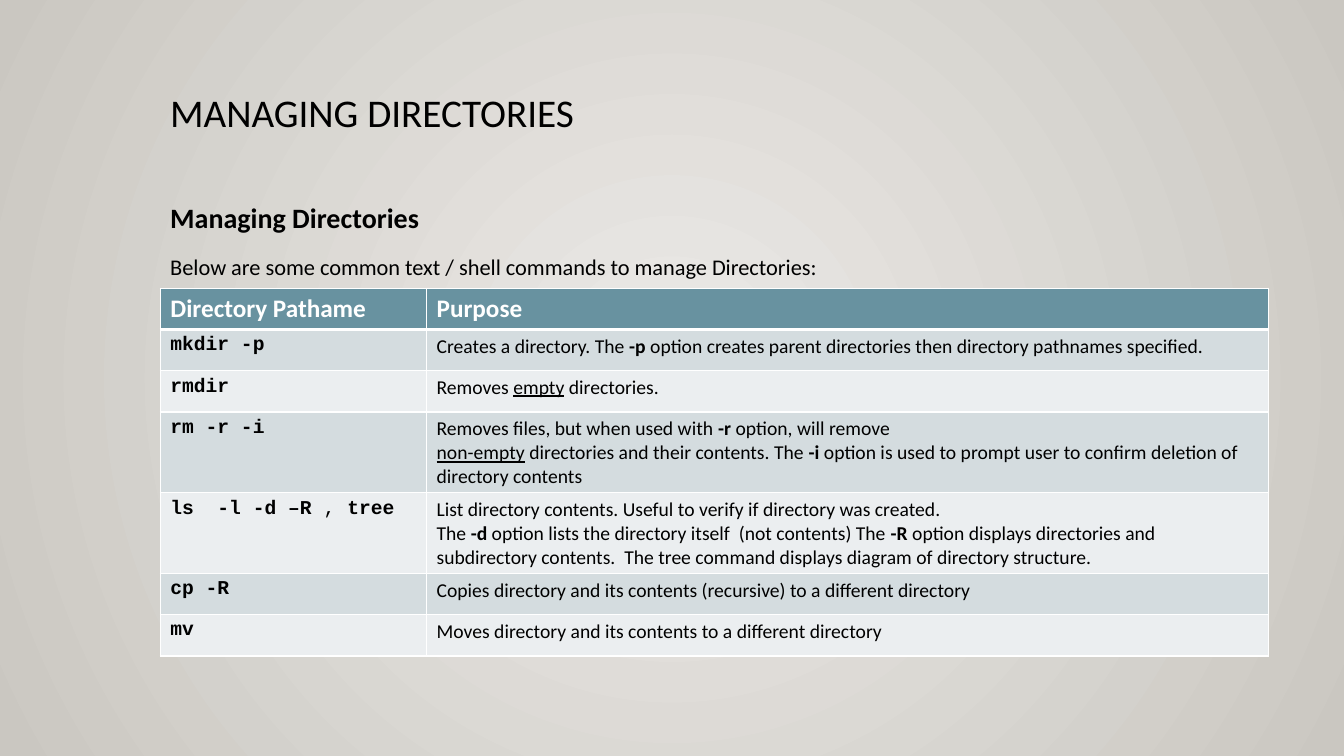
from dataclasses import dataclass
from typing import NamedTuple

from lxml import etree
from pptx import Presentation
from pptx import util as u
from pptx.dml.color import RGBColor
from pptx.enum import text
from pptx.oxml import ns


@dataclass(frozen=True)
class Theme:
    sans: str = "Calibri"
    mono: str = "Courier New"
    ink: str = "000000"
    white: str = "FFFFFF"
    header: str = "6892A0"
    bands: tuple[str, str] = ("D4DCDF", "EBEEF0")
    glow: tuple[str, str] = ("ECEAE7", "CAC7C1")
    title_size: int = 28
    heading_size: int = 20
    intro_size: int = 16
    header_size: int = 18
    cell_size: int = 14
    rule: int = 1
    header_rule: int = 3


class Run(NamedTuple):
    text: str
    bold: bool = False
    underline: bool = False


class Style(NamedTuple):
    font: str
    size: int
    color: str


class Line(NamedTuple):
    run: Run
    size: int


class Box(NamedTuple):
    left: float
    top: float
    width: float
    height: float
    spacing: float
    before: int
    lines: list[Line]


class Command(NamedTuple):
    name: list[Run]
    purpose: list[Run]


THEME = Theme()
LEFT = 4.04
ROW_HEIGHT = 1.04
COLUMNS = (6.71, 21.21)

BOXES = [
    Box(LEFT, 2.24, 26.67, 2.92, 0.9, 0,
        [Line(Run("MANAGING DIRECTORIES"), THEME.title_size)]),
    Box(LEFT, 4.75, 23.32, 13.21, 1.2, 10, [
        Line(Run("Managing Directories", bold=True), THEME.heading_size),
        Line(Run("Below are some common text / shell commands to manage Directories:"),
             THEME.intro_size),
    ]),
]

HEADER = Command([Run("Directory Pathame", True)], [Run("Purpose", True)])
COMMANDS = [
    Command([Run("mkdir -p", True)], [
        Run("Creates a directory. The "), Run("-p", True),
        Run(" option creates parent directories then directory pathnames specified."),
    ]),
    Command([Run("rmdir", True)], [
        Run("Removes "), Run("empty", underline=True), Run(" directories."),
    ]),
    Command([Run("rm -r -i", True)], [
        Run("Removes files, but when used with "), Run("-r", True),
        Run(" option, will remove \n"), Run("non-empty", underline=True),
        Run(" directories and their contents. The "), Run("-i", True),
        Run(" option is used to prompt user to confirm deletion of directory contents"),
    ]),
    Command([Run("ls  -l -d –R ", True), Run(", "), Run("tree", True)], [
        Run("List directory contents. Useful to verify if directory was created. \nThe "),
        Run("-d", True),
        Run(" option lists the directory itself  (not contents) The "), Run("-R", True),
        Run(" option displays directories and subdirectory contents.  "
            "The tree command displays diagram of directory structure."),
    ]),
    Command([Run("cp -R", True)], [
        Run("Copies directory and its contents (recursive) to a different directory"),
    ]),
    Command([Run("mv", True)], [
        Run("Moves directory and its contents to a different directory"),
    ]),
]


def add_run(p, run: Run, style: Style) -> None:
    for i, part in enumerate(run.text.split("\n")):
        if i:
            p.add_line_break()
        r = p.add_run()
        r.text = part
        r.font.name = style.font
        r.font.size = u.Pt(style.size)
        r.font.bold = run.bold
        r.font.underline = run.underline
        r.font.color.rgb = RGBColor.from_string(style.color)


def paint_background(s) -> None:
    fill = s.background.fill
    fill.gradient()
    for stop, color in zip(fill.gradient_stops, THEME.glow):
        stop.color.rgb = RGBColor.from_string(color)
    grad = s.background._cSld.find(".//" + ns.qn("a:gradFill"))
    grad.remove(grad.find(ns.qn("a:lin")))
    circle = etree.SubElement(grad, ns.qn("a:path"), {"path": "circle"})
    etree.SubElement(circle, ns.qn("a:fillToRect"), dict.fromkeys("ltrb", "50000"))


def add_box(s, box: Box) -> None:
    sp = s.shapes.add_textbox(u.Cm(box.left), u.Cm(box.top), u.Cm(box.width), u.Cm(box.height))
    tf = sp.text_frame
    tf.word_wrap = True
    tf.vertical_anchor = text.MSO_ANCHOR.TOP
    for i, line in enumerate(box.lines):
        p = tf.add_paragraph() if i else tf.paragraphs[0]
        p.line_spacing = box.spacing
        p.space_before = u.Pt(box.before)
        add_run(p, line.run, Style(THEME.sans, line.size, THEME.ink))


def set_border(cell, side: str, width: int) -> None:
    ln = etree.SubElement(cell._tc.get_or_add_tcPr(), ns.qn(f"a:ln{side}"),
                          {"w": str(u.Pt(width))})
    solid = etree.SubElement(ln, ns.qn("a:solidFill"))
    etree.SubElement(solid, ns.qn("a:srgbClr"), {"val": THEME.white})


def fill_cell(cell, runs: list[Run], style: Style, color: str, top: int, bottom: int) -> None:
    for side, width in (("L", THEME.rule), ("R", THEME.rule), ("T", top), ("B", bottom)):
        set_border(cell, side, width)
    cell.fill.solid()
    cell.fill.fore_color.rgb = RGBColor.from_string(color)
    for run in runs:
        add_run(cell.text_frame.paragraphs[0], run, style)


def add_command_table(s) -> None:
    rows = [HEADER, *COMMANDS]
    table = s.shapes.add_table(len(rows), len(COLUMNS), u.Cm(LEFT), u.Cm(7.26),
                               u.Cm(sum(COLUMNS)), u.Cm(ROW_HEIGHT * len(rows))).table
    for column, width in zip(table.columns, COLUMNS):
        column.width = u.Cm(width)
    head = Style(THEME.sans, THEME.header_size, THEME.white)
    body = [Style(font, THEME.cell_size, THEME.ink) for font in (THEME.mono, THEME.sans)]
    for i, command in enumerate(rows):
        styles = body if i else [head, head]
        color = THEME.bands[(i - 1) % 2] if i else THEME.header
        top = THEME.header_rule if i == 1 else THEME.rule
        bottom = THEME.rule if i else THEME.header_rule
        for j, runs in enumerate(command):
            fill_cell(table.cell(i, j), runs, styles[j], color, top, bottom)


def main() -> None:
    prs = Presentation()
    prs.slide_width, prs.slide_height = u.Cm(33.87), u.Cm(19.05)
    s = prs.slides.add_slide(prs.slide_layouts[6])
    paint_background(s)
    for box in BOXES:
        add_box(s, box)
    add_command_table(s)
    prs.save("out.pptx")


if __name__ == "__main__":
    main()
